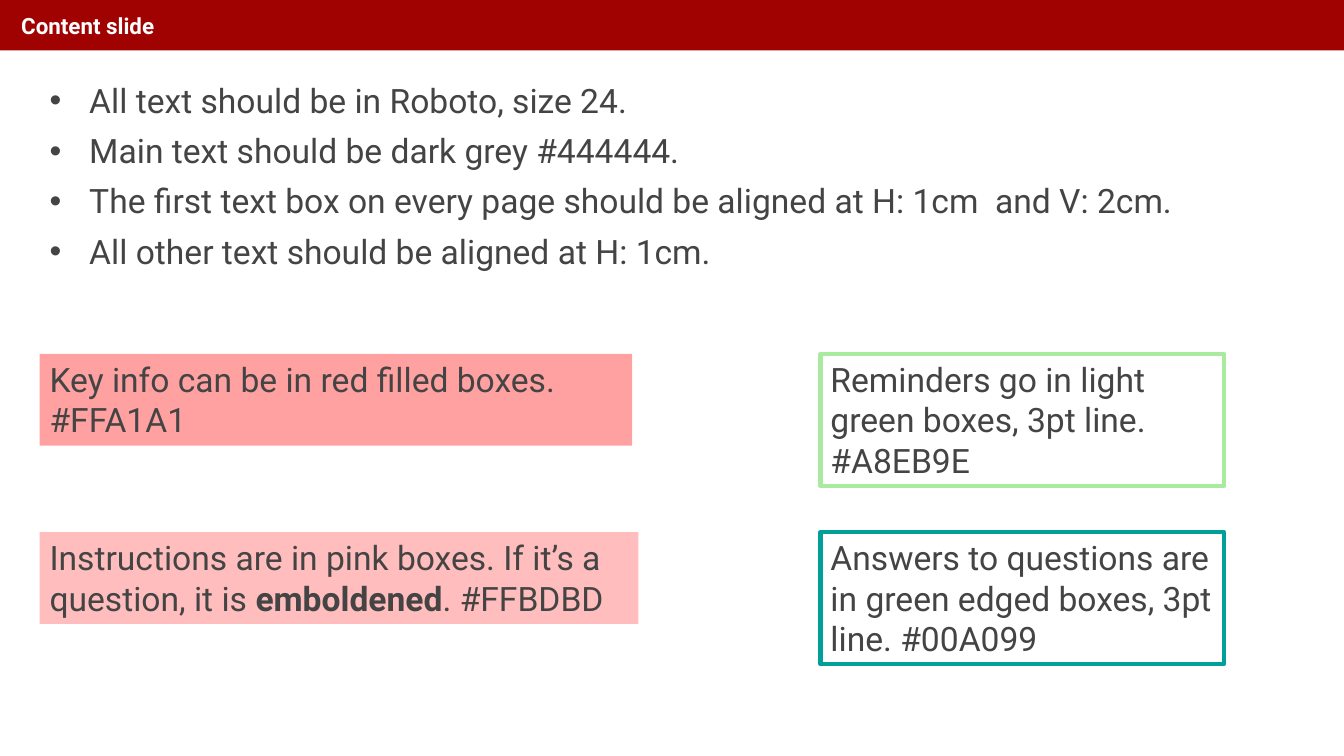
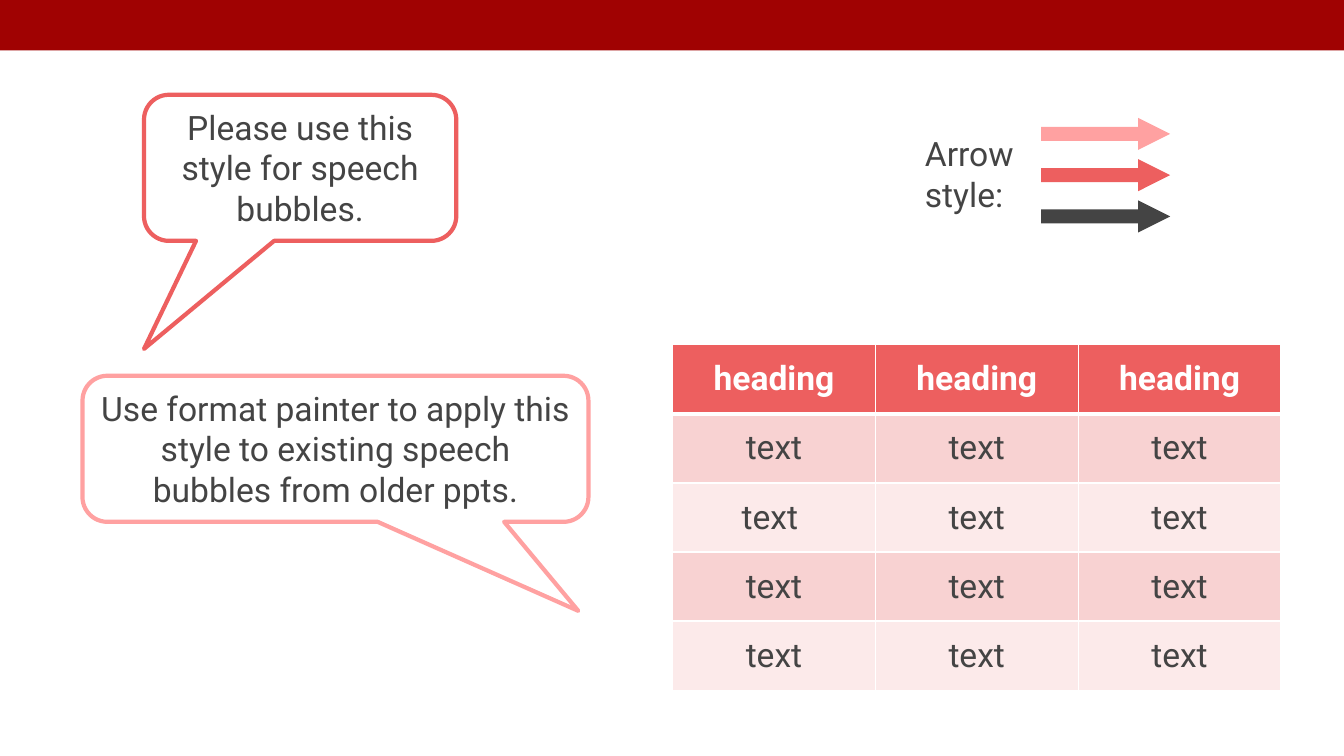
from dataclasses import dataclass

from lxml import etree
from pptx import Presentation
from pptx.dml.color import RGBColor
from pptx.enum.shapes import MSO_SHAPE
from pptx.enum.text import MSO_ANCHOR, MSO_AUTO_SIZE, PP_ALIGN
from pptx.oxml.ns import qn
from pptx.util import Cm, Pt

RECT = MSO_SHAPE.RECTANGLE
ARROW = MSO_SHAPE.RIGHT_ARROW
BUBBLE = MSO_SHAPE.ROUNDED_RECTANGULAR_CALLOUT
LEFT, CENTER = PP_ALIGN.LEFT, PP_ALIGN.CENTER
TOP, MIDDLE = MSO_ANCHOR.TOP, MSO_ANCHOR.MIDDLE
NO_AUTOFIT = MSO_AUTO_SIZE.NONE

FONT = "Roboto"
COLORS = {
    "band": "A00202",
    "white": "FFFFFF",
    "text": "444444",
    "red": "ED5F5F",
    "key": "FFA1A1",
    "pink": "FFBDBD",
    "reminder": "A8EB9E",
    "answer": "00A099",
    "row_dark": "F8D2D2",
    "row_light": "FCEAEA",
}
SLIDE_W, SLIDE_H, BAND_H = 33.87, 19.05, 1.27
MARGIN, RIGHT_COL = 1, 20.68
UPPER_ROW, LOWER_ROW = 8.92, 13.41


@dataclass(frozen=True)
class Box:
    left: float
    top: float
    width: float
    height: float
    runs: tuple = ()
    fill: str | None = None
    line: str | None = None
    kind: int = RECT
    adj: tuple = ()
    align: int = LEFT


BULLETS = (
    "All text should be in Roboto, size 24.",
    "Main text should be dark grey #444444.",
    "The first text box on every page should be aligned at H: 1cm  and V: 2cm.",
    "All other text should be aligned at H: 1cm.",
)
STYLE_BOXES = (
    Box(MARGIN, UPPER_ROW, 14.93, 2.31,
        (("Key info can be in red filled boxes. #FFA1A1", False),), fill="key"),
    Box(MARGIN, LOWER_ROW, 15.09, 2.31,
        (("Instructions are in pink boxes. If it’s a question, it is ", False),
         ("emboldened", True), (". #FFBDBD", False)), fill="pink"),
    Box(RIGHT_COL, UPPER_ROW, 10.16, 3.33,
        (("Reminders go in light green boxes, 3pt line. #A8EB9E", False),),
        line="reminder"),
    Box(RIGHT_COL, LOWER_ROW, 10.16, 3.33,
        (("Answers to questions are in green edged boxes, 3pt line. #00A099", False),),
        line="answer"),
)
BUBBLES = (
    Box(3.63, 2.39, 7.87, 3.68,
        (("Please use this style for speech bubbles.", False),),
        fill="white", line="red", kind=BUBBLE, adj=(-0.5, 1.24, 0.17), align=CENTER),
    Box(2.08, 9.47, 12.75, 3.68,
        (("Use format painter to apply this style to existing speech bubbles"
          " from older ppts.", False),),
        line="key", kind=BUBBLE, adj=(0.48, 1.11, 0.17), align=CENTER),
)
ARROW_LABEL = Box(23.06, 3.23, 3.05, 2.31, (("Arrow style:", False),))
ARROWS = tuple(
    Box(26.24, 2.97 + 1.04 * i, 3.25, 0.81, fill=fill, kind=ARROW, adj=(0.43, 1))
    for i, fill in enumerate(("key", "red", "text"))
)
TABLE_ROWS = (
    ("heading",) * 3,
    ("text",) * 3,
    ("text ", "text", "text"),
    ("text",) * 3,
    ("text",) * 3,
)


def rgb(name: str) -> RGBColor:
    return RGBColor.from_string(COLORS[name])


def write(p, text: str, *, color: str = "text", size: float = 24,
          bold: bool = False, align: int = LEFT) -> None:
    p.alignment = align
    r = p.add_run()
    r.text = text
    r.font.name = FONT
    r.font.size = Pt(size)
    r.font.bold = bold
    r.font.color.rgb = rgb(color)


def add_box(slide, box: Box):
    sp = slide.shapes.add_shape(
        box.kind, Cm(box.left), Cm(box.top), Cm(box.width), Cm(box.height))
    sp.shadow.inherit = False
    for i, value in enumerate(box.adj):
        sp.adjustments[i] = value
    if box.fill:
        sp.fill.solid()
        sp.fill.fore_color.rgb = rgb(box.fill)
    else:
        sp.fill.background()
    if box.line:
        sp.line.color.rgb = rgb(box.line)
        sp.line.width = Pt(3)
    else:
        sp.line.fill.background()
    tf = sp.text_frame
    tf.word_wrap = True
    tf.vertical_anchor = TOP
    for text, bold in box.runs:
        write(tf.paragraphs[0], text, bold=bold, align=box.align)
    return sp


def add_slide(prs, title: str | None = None):
    slide = prs.slides.add_slide(prs.slide_layouts[5 if title else 6])
    band = add_box(slide, Box(0, 0, SLIDE_W, BAND_H, fill="band"))
    if title:
        sp = slide.shapes.title
        band._element.addnext(sp._element)
        sp.left, sp.top, sp.width, sp.height = Cm(0.28), Cm(0.23), Cm(29.21), Cm(0.91)
        tf = sp.text_frame
        tf.auto_size = NO_AUTOFIT
        tf.vertical_anchor = MIDDLE
        p = tf.paragraphs[0]
        p.line_spacing = 0.9
        write(p, title, color="white", size=16, bold=True)
    return slide


def add_bullets(slide, items: tuple) -> None:
    tf = slide.shapes.add_textbox(Cm(MARGIN), Cm(2), Cm(30.33), Cm(5.69)).text_frame
    tf.word_wrap = True
    for i, item in enumerate(items):
        p = tf.add_paragraph() if i else tf.paragraphs[0]
        p.line_spacing = 0.9
        p.space_before = Pt(10)
        write(p, item)
        pPr = p._p.get_or_add_pPr()
        pPr.set("marL", str(Cm(1)))
        pPr.set("indent", str(-Cm(1)))
        etree.SubElement(pPr, qn("a:buFont"), typeface="Arial")
        etree.SubElement(pPr, qn("a:buChar"), char="•")


def set_borders(cell, widths: dict) -> None:
    tcPr = cell._tc.get_or_add_tcPr()
    for i, (side, width) in enumerate(widths.items()):
        ln = etree.Element(qn(f"a:ln{side}"), w=str(Pt(width)))
        fill = etree.SubElement(ln, qn("a:solidFill"))
        etree.SubElement(fill, qn("a:srgbClr"), val=COLORS["white"])
        tcPr.insert(i, ln)


def add_table(slide, rows: tuple) -> None:
    n_rows, n_cols = len(rows), len(rows[0])
    col_w, row_h = 5.11, 1.74
    table = slide.shapes.add_table(
        n_rows, n_cols, Cm(16.95), Cm(8.69),
        Cm(col_w * n_cols), Cm(row_h * n_rows)).table
    for col in table.columns:
        col.width = Cm(col_w)
    for i, texts in enumerate(rows):
        table.rows[i].height = Cm(row_h)
        header = i == 0
        fill = "red" if header else ("row_light", "row_dark")[i % 2]
        for j, text in enumerate(texts):
            cell = table.cell(i, j)
            cell.vertical_anchor = MIDDLE
            cell.fill.solid()
            cell.fill.fore_color.rgb = rgb(fill)
            set_borders(cell, {"L": 1, "R": 1, "T": 3 if i == 1 else 1,
                               "B": 3 if header else 1})
            write(cell.text_frame.paragraphs[0], text, bold=header,
                  color="white" if header else "text", align=CENTER)


def main() -> None:
    prs = Presentation()
    prs.slide_width, prs.slide_height = Cm(SLIDE_W), Cm(SLIDE_H)

    slide = add_slide(prs, "Content slide")
    add_bullets(slide, BULLETS)
    for box in STYLE_BOXES:
        add_box(slide, box)

    slide = add_slide(prs)
    for box in (ARROW_LABEL, *ARROWS, *BUBBLES):
        add_box(slide, box)
    add_table(slide, TABLE_ROWS)

    prs.save("out.pptx")


if __name__ == "__main__":
    main()
